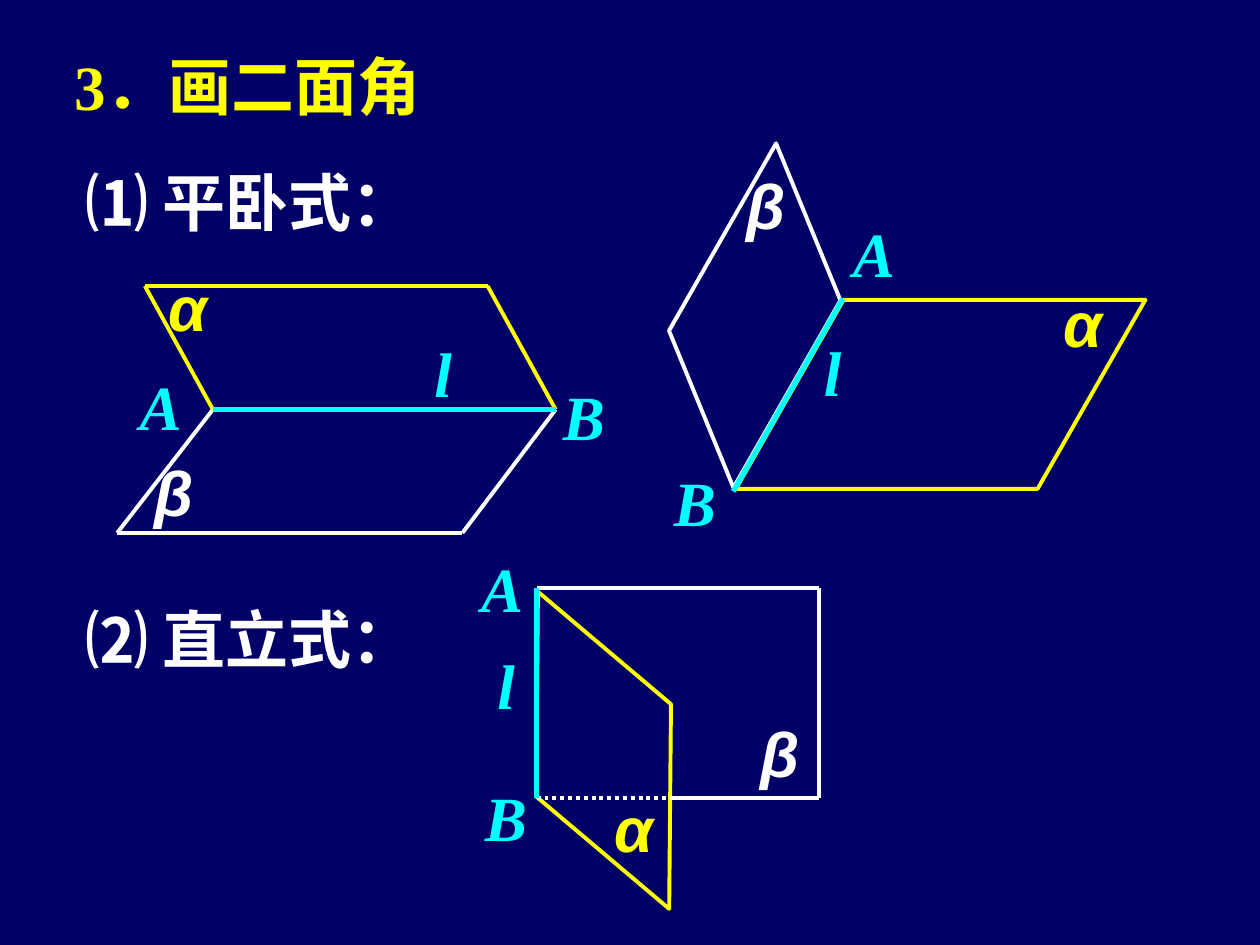
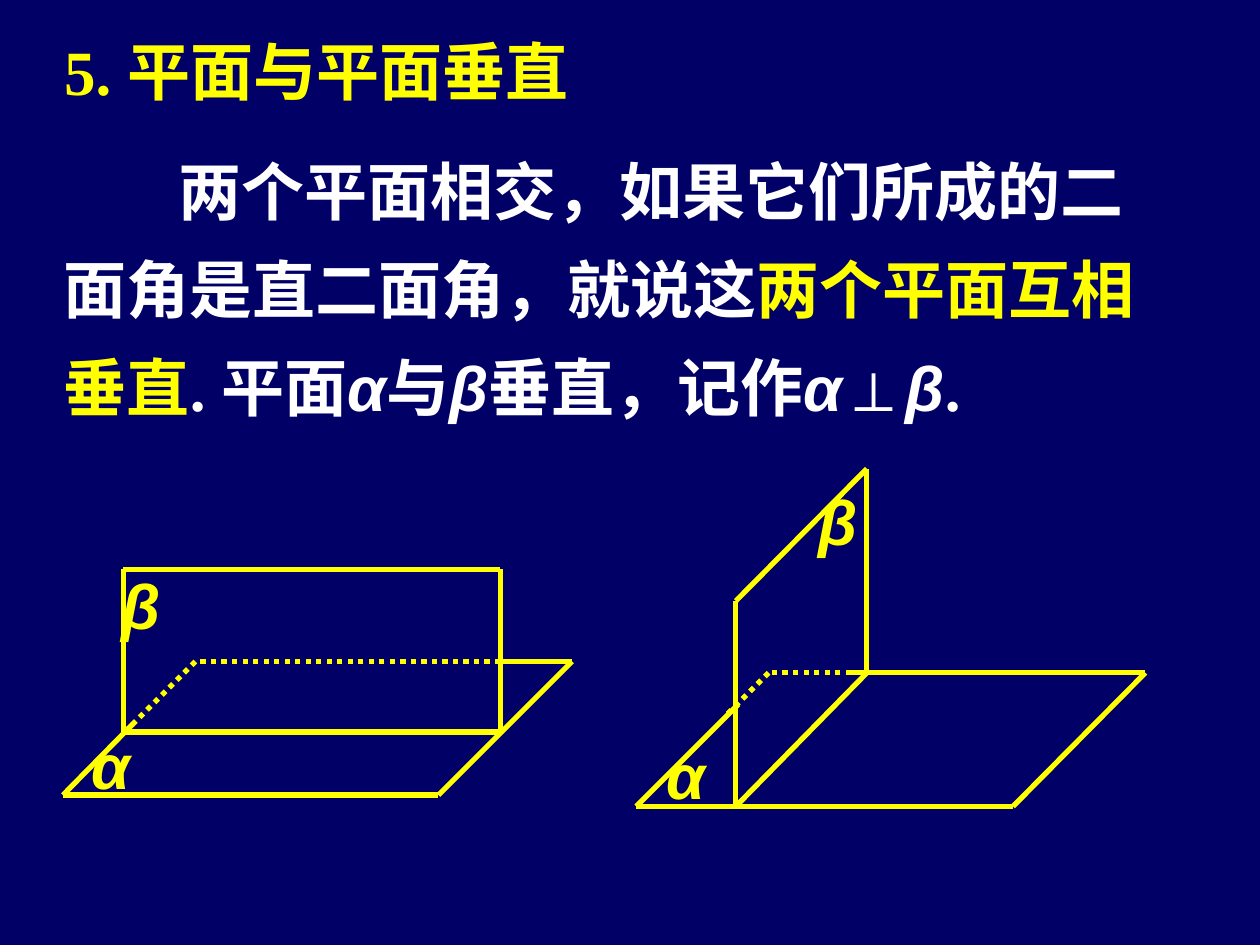
from dataclasses import dataclass
from itertools import pairwise

from lxml import etree
from pptx import Presentation
from pptx.dml.color import RGBColor
from pptx.enum.dml import MSO_LINE
from pptx.enum.shapes import MSO_CONNECTOR, MSO_SHAPE
from pptx.enum.text import MSO_ANCHOR
from pptx.oxml.ns import qn
from pptx.util import Inches, Pt

STRAIGHT = MSO_CONNECTOR.STRAIGHT
SLANT = MSO_SHAPE.PARALLELOGRAM
DOTS = MSO_LINE.ROUND_DOT
MIDDLE = MSO_ANCHOR.MIDDLE
COLS, ROWS = 10, 7.5


@dataclass(frozen=True)
class Theme:
    back: str = "000066"
    white: str = "FFFFFF"
    gold: str = "FFFF00"
    cyan: str = "00FFFF"
    body: str = "Times New Roman"
    greek: str = "Arial"
    size: float = 36
    thin: float = 2.25
    thick: float = 3
    lead: float = 1.3


class Board:
    """Draws on the current slide; all lengths are grid columns and rows."""

    def __init__(self, deck, theme):
        self.deck, self.theme = deck, theme
        self.col = deck.slide_width / COLS
        self.row = deck.slide_height / ROWS
        self.slide = None

    def open(self):
        self.slide = self.deck.slides.add_slide(self.deck.slide_layouts[6])
        fill = self.slide.background.fill
        fill.solid()
        fill.fore_color.rgb = RGBColor.from_string(self.theme.back)

    def place(self, x, y):
        return round(x * self.col), round(y * self.row)

    def style(self, run, color, greek=False, slope=False):
        font = run.font
        font.name = self.theme.greek if greek else self.theme.body
        font.size = Pt(self.theme.size)
        font.bold = True
        font.italic = greek or slope
        font.color.rgb = RGBColor.from_string(color)
        run._r.get_or_add_rPr().set("lang", "zh-CN")

    def frame(self, x, y, wide, high=0.7):
        box = self.slide.shapes.add_textbox(*self.place(x, y), *self.place(wide, high))
        box.text_frame.word_wrap = True
        return box.text_frame

    def text(self, x, y, wide, words, color, **look):
        frame = self.frame(x, y, wide)
        frame.text = words
        self.style(frame.paragraphs[0].runs[0], color, **look)

    def title(self, x, y, words):
        self.text(x, y, 8.18, words, self.theme.gold)

    def label(self, x, y, sign, color):
        greek = sign in "αβ"
        self.text(x, y, 0.73, sign, color, greek=greek, slope=True)

    def prose(self, x, y, wide, high, lines, indent):
        """Writes lines of (words, color) pairs, the first line indented."""
        frame = self.frame(x, y, wide, high)
        frame.vertical_anchor = MIDDLE
        for i, line in enumerate(lines):
            para = frame.add_paragraph() if i else frame.paragraphs[0]
            para.line_spacing = self.theme.lead
            if not i:
                para._p.get_or_add_pPr().set("indent", str(round(indent * self.col)))
            for words, color in line:
                run = para.add_run()
                run.text = words
                self.style(run, color, greek=words in ("α", "β"))

    def stroke(self, line, color, width):
        line.color.rgb = RGBColor.from_string(color)
        line.width = Pt(width)

    def chain(self, points, color, width, dots=False):
        """Joins each point to the next by a straight line."""
        for start, end in pairwise(points):
            link = self.slide.shapes.add_connector(
                STRAIGHT, *self.place(*start), *self.place(*end))
            etree.SubElement(link._element.spPr, qn("a:effectLst"))
            self.stroke(link.line, color, width)
            if dots:
                link.line.dash_style = DOTS

    def slab(self, x, y, wide, high, skew, color, turn=0):
        """Outlines a parallelogram; a turned one is mirrored as well."""
        shape = self.slide.shapes.add_shape(
            SLANT, *self.place(x, y), *self.place(wide, high))
        shape.shadow.inherit = False
        shape.adjustments[0] = skew
        shape.fill.background()
        self.stroke(shape.line, color, self.theme.thin)
        if turn:
            shape.rotation = turn
            shape._element.spPr.xfrm.set("flipH", "1")

    def edge(self, a, b, marks):
        """Draws the common edge and its letters A, B and l."""
        self.chain([a, b], self.theme.cyan, self.theme.thick)
        for sign, spot in zip("ABl", marks):
            self.label(*spot, sign, self.theme.cyan)

    def faces(self, alpha, beta, color):
        self.label(*alpha, "α", self.theme.gold)
        self.label(*beta, "β", color)


def angles(board):
    t = board.theme
    board.open()
    board.title(0.49, 0.33, "3．画二面角")
    for y, words in ((1.25, "⑴ 平卧式："), (4.72, "⑵ 直立式：")):
        board.text(0.58, y, 3.58, words, t.white)

    # Flat, folded along a level edge
    a, b = (1.69, 3.25), (4.41, 3.25)
    board.chain([a, (1.15, 2.27), (3.87, 2.27), b], t.gold, t.thin)
    board.chain([a, (0.93, 4.23), (3.67, 4.23), b], t.white, t.thin)
    board.edge(a, b, [(1.01, 2.87), (4.37, 2.95), (3.35, 2.61)])
    board.faces((1.24, 2.08), (1.13, 3.55), t.white)

    # Flat, folded along a sloping edge
    board.slab(5.84, 2.38, 3.25, 1.5, 0.57, t.gold)
    board.slab(4.79, 1.83, 2.4, 1.35, 0.78, t.white, turn=247.7)
    board.edge((6.69, 2.37), (5.82, 3.9), [(6.67, 1.65), (5.25, 3.63), (6.44, 2.6)])
    board.faces((8.34, 2.21), (5.83, 1.27), t.white)

    # Upright
    a, b, cross = (4.26, 4.67), (4.26, 6.33), (5.35, 6.33)
    board.slab(3.58, 5.33, 2.42, 1.25, 0.83, t.gold, turn=220.2)
    board.chain([a, (6.5, 4.67), (6.5, 6.33), cross], t.white, t.thin)
    board.chain([b, cross], t.white, t.thin, dots=True)
    board.edge(a, b, [(3.72, 4.31), (3.75, 6.13), (3.85, 5.08)])
    board.faces((4.78, 6.22), (5.94, 5.62), t.white)


def upright(board):
    t = board.theme
    board.open()
    board.title(0.41, 0.21, "5. 平面与平面垂直")
    plain = ". 平面", "α", "与", "β", "垂直，记作", "α", "⊥", "β", "."
    board.prose(0.41, 0.98, 9.3, 2.44, [
        [("两个平面相交，如果它们所成的二", t.white)],
        [("面角是直二面角，就说这", t.white), ("两个平面互相", t.gold)],
        [("垂直", t.gold)] + [(words, t.white) for words in plain],
    ], indent=0.91)

    # Each figure: ground, wall and hidden outline, then the two letters
    figures = [
        ([(1.05, 5.75), (0.5, 6.31), (3.48, 6.31), (4.54, 5.25), (3.97, 5.25)],
         [(0.98, 5.81), (0.98, 4.52), (3.97, 4.52), (3.97, 5.81), (0.98, 5.81)],
         [(3.97, 5.25), (1.55, 5.25), (1, 5.8)],
         (0.63, 5.72), (0.87, 4.45)),
        ([(5.86, 5.59), (5.05, 6.4), (8.04, 6.4), (9.09, 5.34), (6.75, 5.34)],
         [(5.84, 6.4), (5.84, 4.77), (6.88, 3.72), (6.88, 5.34), (5.84, 6.4)],
         [(6.92, 5.34), (6.1, 5.34), (5.77, 5.67)],
         (5.19, 5.8), (6.4, 3.78)),
    ]
    for ground, wall, hidden, alpha, beta in figures:
        board.chain(ground, t.gold, t.thick)
        board.chain(wall, t.gold, t.thick)
        board.chain(hidden, t.gold, t.thick, dots=True)
        board.faces(alpha, beta, t.gold)


def main():
    deck = Presentation()
    deck.slide_width, deck.slide_height = Inches(10), Inches(7.5)
    board = Board(deck, Theme())
    angles(board)
    upright(board)
    deck.save("out.pptx")


if __name__ == "__main__":
    main()
